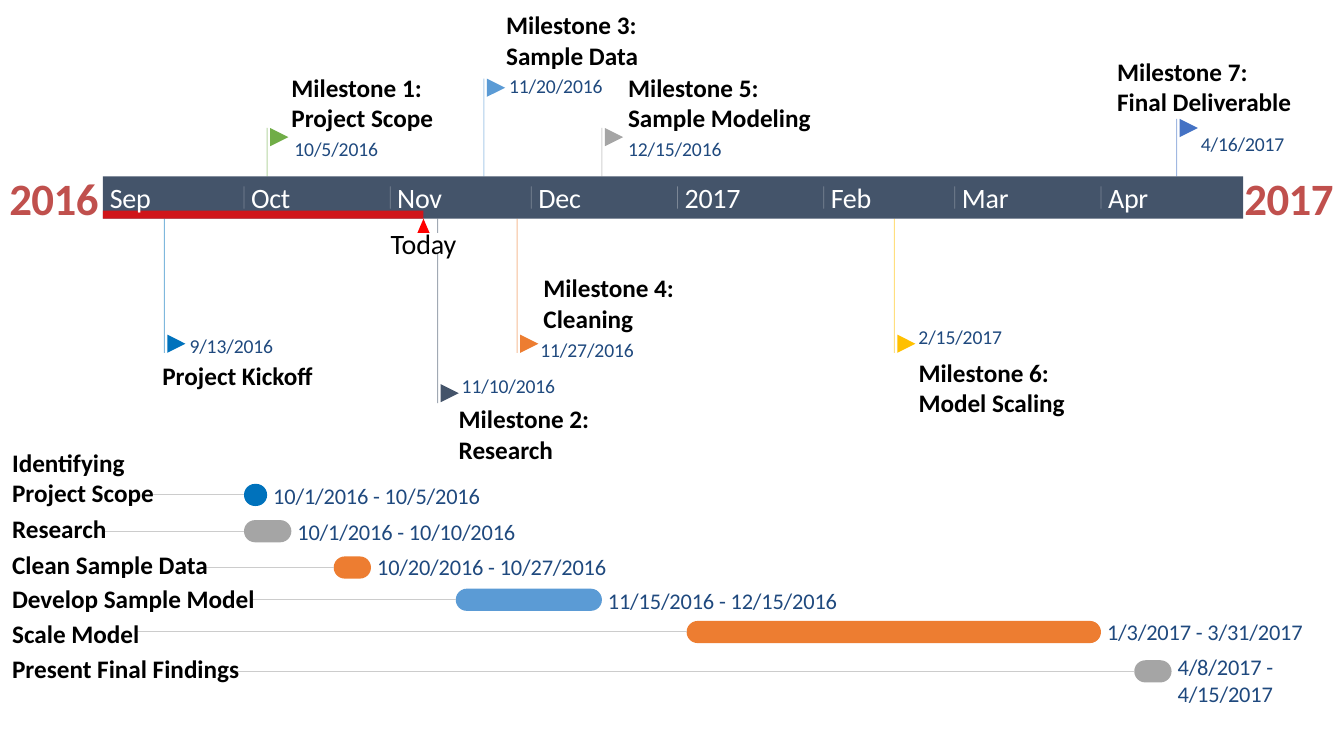
from pptx import Presentation
from pptx.dml.color import RGBColor
from pptx.enum.shapes import MSO_CONNECTOR, MSO_SHAPE
from pptx.enum.text import MSO_ANCHOR, PP_ALIGN
from pptx.oxml.ns import qn
from pptx.util import Pt
from lxml import etree

RECT, ROUND = MSO_SHAPE.RECTANGLE, MSO_SHAPE.ROUNDED_RECTANGLE
PEAK, FLAG = MSO_SHAPE.ISOSCELES_TRIANGLE, MSO_SHAPE.FLOWCHART_MERGE
LINE = MSO_CONNECTOR.STRAIGHT
MID, LEFT, CENTER = MSO_ANCHOR.MIDDLE, PP_ALIGN.LEFT, PP_ALIGN.CENTER

PX = 9144  # 100 px to the inch
HEX = {"black": "000000", "white": "FFFFFF", "navy": "1F497E", "brick": "C0504D",
       "slate": "44546A", "red": "FF0000", "rule": "CCCCCC", "deep": "0072BC",
       "green": "70AD47", "sky": "5B9BD5", "gray": "A5A5A5", "blue": "4472C4",
       "orange": "ED7D31", "gold": "FFC000"}

# Text formats: font size, bold, colour, letter spacing in 1/100 pt
YEAR = {"size": 32, "bold": True, "hue": "brick", "gap": -40}
MONTH = {"size": 20, "bold": False, "hue": "white", "gap": -20}
TODAY = {"size": 20, "bold": False, "hue": "black", "gap": -10}
HEAD = {"size": 18, "bold": True, "hue": "black", "gap": 0}
DATE = {"size": 14, "bold": False, "hue": "navy", "gap": -10}
SPAN = {"size": 16, "bold": False, "hue": "navy", "gap": -10}

# Months: label, number, days
MONTHS = [("Sep", 9, 30), ("Oct", 10, 31), ("Nov", 11, 30), ("Dec", 12, 31),
          ("2017", 1, 31), ("Feb", 2, 28), ("Mar", 3, 31), ("Apr", 4, 30)]
YEARS = [("2016", 9), ("2017", 1234)]
NOW = "11/8/2016"

# Milestones: name, name box, date, date box, flag top, colour
STONES = [
    ("Milestone 1: Project Scope", (289, 71, 169, 61), "10/5/2016", (292, 136, 92, 24), 127, "green"),
    ("Milestone 3: Sample Data", (502, 9, 164, 61), "11/20/2016", (505, 73, 113, 24), 78, "sky"),
    ("Milestone 5: Sample Modeling", (623, 71, 194, 61), "12/15/2016", (623, 136, 97, 24), 127, "gray"),
    ("Milestone 7:\nFinal Deliverable", (1108, 67, 186, 37), "4/16/2017", (1191, 131, 97, 24), 118, "blue"),
    ("Project Kickoff", (161, 357, 171, 30), "9/13/2016", (188, 331, 93, 24), 332, "deep"),
    ("Milestone 2: Research", (455, 400, 140, 61), "11/10/2016", (458, 371, 110, 24), 381, "slate"),
    ("Milestone 4: Cleaning", (539, 270, 138, 61), "11/27/2016", (536, 335, 100, 24), 332, "orange"),
    ("Milestone 6: Model Scaling", (911, 354, 172, 61), "2/15/2017", (911, 322, 104, 24), 332, "gold"),
]

# Tasks: name, name box, dates, dates top, width and height, bar top, rule start, colour
TASKS = [
    ("Identifying Project Scope", (12, 443, 174, 61), "10/1/2016 - 10/5/2016", (478, 331, 27), 480, 152, "deep"),
    ("Research", (12, 510, 103, 29), "10/1/2016 - 10/10/2016", (514, 350, 27), 516, 104, "gray"),
    ("Clean Sample Data", (12, 551, 228, 18), "10/20/2016 - 10/27/2016", (549, 379, 27), 552, 203, "orange"),
    ("Develop Sample Model", (12, 588, 317, 11), "11/15/2016 - 12/15/2016", (582, 317, 27), 584, 249, "sky"),
    ("Scale Model", (12, 618, 332, 20), "1/3/2017 - 3/31/2017", (613, 212, 27), 616, 134, "orange"),
    ("Present Final Findings", (12, 650, 317, 26), "4/8/2017 - 4/15/2017", (648, 119, 54), 655, 229, "gray"),
]

# Time axis
X0, DAY = 102, 4.67
TOP, BASE = 175, 217
START, total = {}, 0
for _, num, days in MONTHS:
    START[num] = total
    total += days


def at(date, extra=0):
    num, day, _ = map(int, date.split("/"))
    return round(X0 + DAY * (START[num] + day - 1 + extra))


deck = Presentation()
deck.slide_width, deck.slide_height = 1333 * PX, 750 * PX
slide = deck.slides.add_slide(deck.slide_layouts[6])
items = slide.shapes


def emu(box):
    return [n * PX for n in box]


def fade(item, alpha):
    for tint in item._element.spPr.iter(qn("a:srgbClr")):
        etree.SubElement(tint, qn("a:alpha")).set("val", str(alpha * 1000))


def shape(kind, box, hue, alpha=100):
    item = items.add_shape(kind, *emu(box))
    item.shadow.inherit = False
    item.fill.solid()
    item.fill.fore_color.rgb = RGBColor.from_string(HEX[hue])
    item.line.fill.background()
    if alpha < 100:
        fade(item, alpha)
    return item


def line(ends, hue, width=0.75, alpha=100):
    item = items.add_connector(LINE, *emu(ends))
    item.line.color.rgb = RGBColor.from_string(HEX[hue])
    item.line.width = Pt(width)
    if alpha < 100:
        fade(item, alpha)
    etree.SubElement(item._element.spPr, qn("a:effectLst"))
    return item


def text(words, box, form, align=LEFT):
    frame = items.add_textbox(*emu(box)).text_frame
    frame.text = words
    look = {"word_wrap": True, "vertical_anchor": MID, "margin_left": 0,
            "margin_right": 0, "margin_top": 0, "margin_bottom": 0}
    for key, val in look.items():
        setattr(frame, key, val)
    for para in frame.paragraphs:
        para.alignment = align
        font = para.runs[0].font
        for key, val in {"name": "Calibri", "size": Pt(form["size"]), "bold": form["bold"]}.items():
            setattr(font, key, val)
        font.color.rgb = RGBColor.from_string(HEX[form["hue"]])
        if form["gap"]:
            font._element.set("spc", str(form["gap"]))


# Stems of the flags, broken where the word Today stands
for _, _, date, _, top, hue in STONES:
    x = at(date, 1)
    if top < TOP:
        parts = [(top, TOP)]
    elif hue == "slate":
        parts = [(BASE, 231), (251, top + 19)]
    else:
        parts = [(BASE, top + 18)]
    for y1, y2 in parts:
        line((x, y1, x, y2), hue, alpha=50)

# Band with years, progress and today
for year, x in YEARS:
    text(year, (x - 3, 169, 95, 54), YEAR, CENTER)
shape(RECT, (X0, TOP, 1131, BASE - TOP), "slate")
now = at(NOW)
shape(RECT, (X0, 209, now - X0, 8), "red", 75)
shape(PEAK, (now - 6, BASE, 12, 14), "red")
text("Today", (now - 40, 224, 80, 34), TODAY, CENTER)

# Months
for name, num, _ in MONTHS:
    x = round(X0 + DAY * START[num])
    if x > X0:
        line((x, 185, x, 207), "white", 0.5, 30)
    text(name, (x + 7, 180, 80, 32), MONTH)

# Milestones
for name, box, date, spot, top, hue in STONES:
    text(name, box, HEAD)
    text(date, spot, DATE)
    shape(FLAG, (at(date, 1) + 3, top, 18, 18), hue).rotation = 270

# Tasks
for name, box, dates, (high, wide, tall), top, begin, hue in TASKS:
    first, last = dates.split(" - ")
    x1, x2, mid = at(first), at(last, 1), top + 11
    bar = shape(ROUND, (x1, top, x2 - x1, 22), hue)
    bar.adjustments[0] = 0.5
    line((begin, mid, x1, mid), "rule").end_connect(bar, 1)
    text(dates, (x2 + 6, high, wide, tall), SPAN)
    text(name, box, HEAD)

deck.save("out.pptx")
